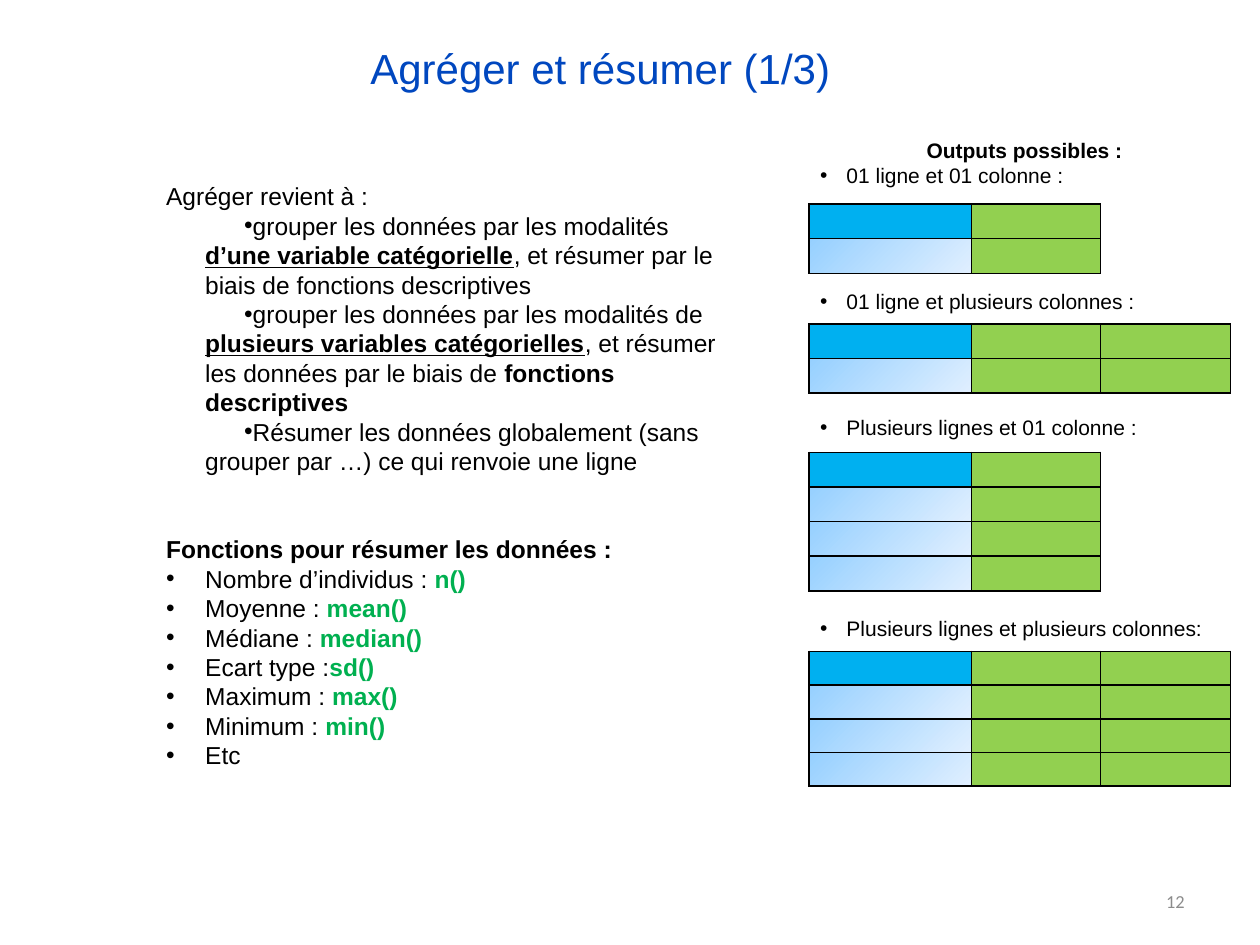
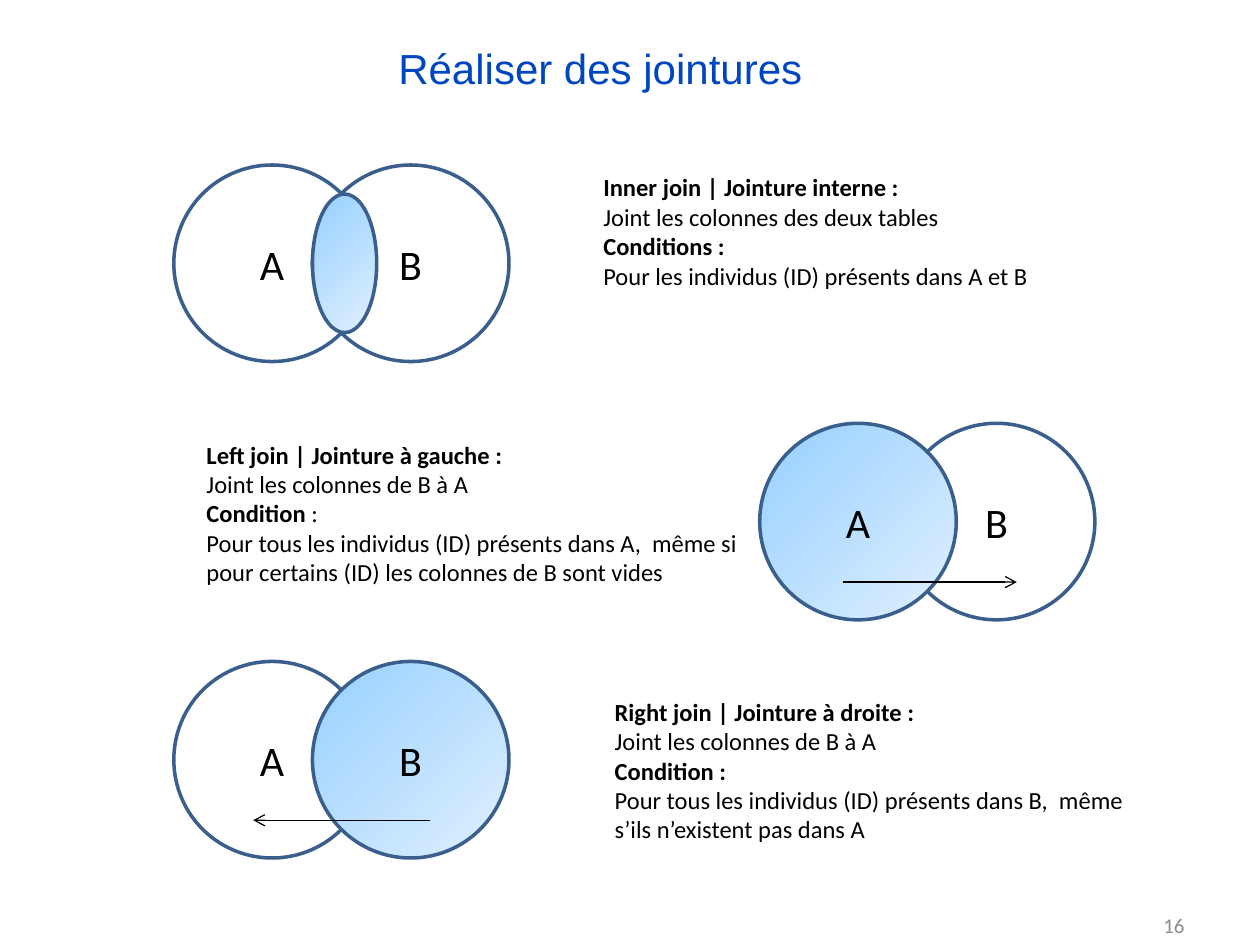
from dataclasses import dataclass

from lxml.etree import SubElement
from pptx import Presentation
from pptx.dml.color import RGBColor
from pptx.enum.shapes import MSO_CONNECTOR, MSO_SHAPE
from pptx.enum.text import MSO_ANCHOR, MSO_AUTO_SIZE, PP_ALIGN
from pptx.oxml.ns import qn
from pptx.util import Inches, Pt


@dataclass(frozen=True)
class Theme:
    title: str = "0047BF"
    text: str = "000000"
    code: str = "00B050"
    number: str = "8C8C8C"
    outline: str = "3A5F8C"
    header: str = "00B0F0"
    summary: str = "92D050"
    pale: tuple = ("96D0FF", "E0EFFF")
    sans: str = "Arial"
    body: str = "Calibri"
    title_size: float = 24
    text_size: float = 14
    label_size: float = 12
    line_ratio: float = 1.2


THEME = Theme()
COLUMNS, ROWS = 100, 75  # grid of the slide
CELL = Inches(0.1)
CIRCLE, OVERLAP_STEP = 15.6, 11
BOLD = {"bold": True}
KEY = {"bold": True, "underline": True}
CODE = {"bold": True, "color": THEME.code}


def grid(*cells):
    return [round(count * CELL) for count in cells]


def rgb(value):
    return RGBColor.from_string(value)


def fill_pale(fill):
    """Diagonal gradient, darker at the top left."""
    fill.gradient()
    fill.gradient_angle = 315
    for stop, color in zip(fill.gradient_stops, THEME.pale):
        stop.color.rgb = rgb(color)


def format_run(run, font, size, color=THEME.text, bold=False, underline=False):
    run.font.name, run.font.size = font, Pt(size)
    run.font.color.rgb = rgb(color)
    run.font.bold, run.font.underline = bold, underline


# Text: each line holds (words, style) parts and its paragraph options
def line(*parts, bullet=None, gap=0, align=PP_ALIGN.LEFT):
    parts = [(part, {}) if isinstance(part, str) else part for part in parts]
    return parts, bullet, gap, align


def set_bullet(paragraph, margin, indent):
    properties = paragraph._p.get_or_add_pPr()
    properties.set("marL", str(Inches(margin)))
    properties.set("indent", str(Inches(indent)))
    SubElement(properties, qn("a:buFont"), typeface=THEME.sans)
    SubElement(properties, qn("a:buChar"), char="•")


def add_text(slide, place, lines, font, size):
    frame = slide.shapes.add_textbox(*grid(*place)).text_frame
    frame.word_wrap = True
    pitch = size * THEME.line_ratio
    for index, (parts, bullet, gap, align) in enumerate(lines):
        paragraph = frame.add_paragraph() if index else frame.paragraphs[0]
        paragraph.alignment = align
        paragraph.line_spacing = Pt(pitch)
        paragraph.space_before = Pt(gap * pitch)
        if bullet:
            set_bullet(paragraph, *bullet)
        for words, style in parts:
            run = paragraph.add_run()
            run.text = words
            format_run(run, font, size, **style)
    return frame


# Frame shared by the slides
def add_titled_slide(deck, title, number, number_top, number_size):
    slide = deck.slides.add_slide(deck.slide_layouts[5])
    heading = slide.shapes.title
    heading.left, heading.top, heading.width, heading.height = grid(1.2, 2.9, 93.8, 7.8)
    frame = heading.text_frame
    frame.text = title
    frame.auto_size = MSO_AUTO_SIZE.NONE
    frame.vertical_anchor = MSO_ANCHOR.TOP
    frame.paragraphs[0].alignment = PP_ALIGN.CENTER
    format_run(frame.paragraphs[0].runs[0], THEME.sans, THEME.title_size, THEME.title)

    page = line((number, {"color": THEME.number}), align=PP_ALIGN.RIGHT)
    footer = add_text(slide, (71.7, number_top, 23.3, 4), [page], THEME.body, number_size)
    footer.vertical_anchor = MSO_ANCHOR.MIDDLE
    return slide


# Output tables
def add_borders(cell):
    properties = cell._tc.get_or_add_tcPr()
    for side in ("lnL", "lnR", "lnT", "lnB"):
        border = SubElement(properties, qn(f"a:{side}"), w=str(Pt(1)))
        fill = SubElement(border, qn("a:solidFill"))
        SubElement(fill, qn("a:srgbClr"), val=THEME.text)


def add_output_table(slide, top, height, row_count, widths):
    place = grid(64.2, top, sum(widths), height)
    table = slide.shapes.add_table(row_count, len(widths), *place).table
    table.first_row = table.horz_banding = False
    for column, width in zip(table.columns, widths):
        column.width = grid(width)[0]
    for row_index, row in enumerate(table.rows):
        row.height = grid(height / row_count)[0]
        for column_index, cell in enumerate(row.cells):
            cell.margin_top = cell.margin_bottom = 0
            SubElement(cell.text_frame.paragraphs[0]._p, qn("a:endParaRPr"), sz="1000")
            add_borders(cell)
            if column_index == 0 and row_index > 0:
                fill_pale(cell.fill)
            else:
                cell.fill.solid()
                cell.fill.fore_color.rgb = rgb(THEME.summary if column_index else THEME.header)


# Join diagrams
def add_set(shapes, place, label="", filled=False):
    ellipse = shapes.add_shape(MSO_SHAPE.OVAL, *grid(*place))
    ellipse.shadow.inherit = False
    ellipse.line.color.rgb = rgb(THEME.outline)
    ellipse.line.width = Pt(2)
    if filled:
        fill_pale(ellipse.fill)
    else:
        ellipse.fill.background()
    if label:
        frame = ellipse.text_frame
        frame.text = label
        frame.vertical_anchor = MSO_ANCHOR.MIDDLE
        frame.paragraphs[0].alignment = PP_ALIGN.CENTER
        format_run(frame.paragraphs[0].runs[0], THEME.body, THEME.title_size)


def add_arrow(shapes, start, end, level):
    arrow = shapes.add_connector(MSO_CONNECTOR.STRAIGHT, *grid(start, level, end, level))
    arrow.line.color.rgb = rgb(THEME.text)
    arrow.line.width = Pt(0.75)
    SubElement(arrow.line._get_or_add_ln(), qn("a:tailEnd"), type="arrow")
    SubElement(arrow._element.spPr, qn("a:effectLst"))


def add_join(slide, left, top, order, kept=None, arrow=None):
    """Two overlapping sets, drawn in the given order; the kept one is filled."""
    shapes = slide.shapes.add_group_shape().shapes
    for label in order:
        offset = "AB".index(label) * OVERLAP_STEP
        add_set(shapes, (left + offset, top, CIRCLE, CIRCLE), label, label == kept)
    if kept is None:
        add_set(shapes, (left + OVERLAP_STEP, top + 2.3, 5.1, 11), filled=True)
    if arrow:
        start, end = arrow
        add_arrow(shapes, left + start, left + end, top + 12.6)


def add_summary_slide(deck):
    slide = add_titled_slide(deck, "Agréger et résumer (1/3) ", "12", 69.5, 10.5)

    # Possible outputs
    outputs = [
        ("01 ligne et 01 colonne :", 0),
        ("01 ligne et plusieurs colonnes :", 4),
        ("Plusieurs lignes et 01 colonne :", 4),
        ("Plusieurs lignes et plusieurs colonnes:", 7),
    ]
    labels = [line(("Outputs possibles : ", BOLD), align=PP_ALIGN.CENTER)]
    labels += [line(label, bullet=(0.31, -0.21), gap=gap) for label, gap in outputs]
    add_text(slide, (63.1, 10.4, 36.9, 64.6), labels, THEME.sans, THEME.label_size)

    # Aggregation and its functions
    inset, hanging = (0.31, 0.31), (0.31, -0.31)
    functions = [
        ("Nombre d’individus : ", "n()"),
        ("Moyenne : ", "mean()"),
        ("Médiane : ", "median()"),
        ("Ecart type :", "sd()"),
        ("Maximum : ", "max()"),
        ("Minimum : ", "min()"),
    ]
    explanation = [
        line("Agréger revient à :"),
        line("grouper les données par les modalités ",
             ("d’une variable catégorielle", KEY),
             ", et résumer par le biais de fonctions descriptives", bullet=inset),
        line("grouper les données par les modalités de ",
             ("plusieurs variables catégorielles", KEY),
             ", et résumer les données par le biais de ",
             ("fonctions descriptives", BOLD), bullet=inset),
        line("Résumer les données globalement (sans grouper par …) "
             "ce qui renvoie une ligne", bullet=inset),
        line(("Fonctions pour résumer les données :", BOLD), gap=2),
        *(line(use, (name, CODE), bullet=hanging) for use, name in functions),
        line("Etc", bullet=hanging),
    ]
    add_text(slide, (12.2, 13.9, 47.2, 48.1), explanation, THEME.sans, THEME.text_size)

    narrow = (12.9, 10.25)
    wide = (*narrow, 10.3)
    for top, height, row_count, widths in (
        (51.7, 10.7, 4, wide),
        (35.9, 11, 4, narrow),
        (16.2, 5.5, 2, narrow),
        (25.7, 5.5, 2, wide),
    ):
        add_output_table(slide, top, height, row_count, widths)


def add_joins_slide(deck):
    slide = add_titled_slide(deck, "Réaliser des jointures ", "16", 71.4, 12)

    # Definitions
    definitions = [
        ((46.9, 13.2, 40, 10.4), "Inner join | Jointure interne :",
         "Joint les colonnes des deux tables", [("Conditions :", BOLD)],
         "Pour les individus (ID) présents dans A et B"),
        ((15.4, 34.4, 46.5, 15.1), "Left join | Jointure à gauche :",
         "Joint les colonnes de B à A", [("Condition", BOLD), " :"],
         "Pour tous les individus (ID) présents dans A,  même si pour "
         "certains (ID) les colonnes de B sont vides"),
        ((47.8, 54.8, 44.8, 15.1), "Right join | Jointure à droite :",
         "Joint les colonnes de B à A", [("Condition :", BOLD)],
         "Pour tous les individus (ID) présents dans B,  même s’ils "
         "n’existent pas dans A"),
    ]
    for place, name, effect, condition, scope in definitions:
        lines = [line((name, BOLD)), line(effect), line(*condition), line(scope)]
        add_text(slide, place, lines, THEME.body, THEME.text_size)

    # Diagrams
    add_join(slide, 13.8, 13.1, "BA")
    add_join(slide, 60.3, 33.6, "BA", kept="A", arrow=(6.6, 20.4))
    add_join(slide, 13.8, 52.5, "AB", kept="B", arrow=(20.3, 6.3))


def main():
    deck = Presentation()
    deck.slide_width, deck.slide_height = grid(COLUMNS, ROWS)
    add_summary_slide(deck)
    add_joins_slide(deck)
    deck.save("out.pptx")


if __name__ == "__main__":
    main()
